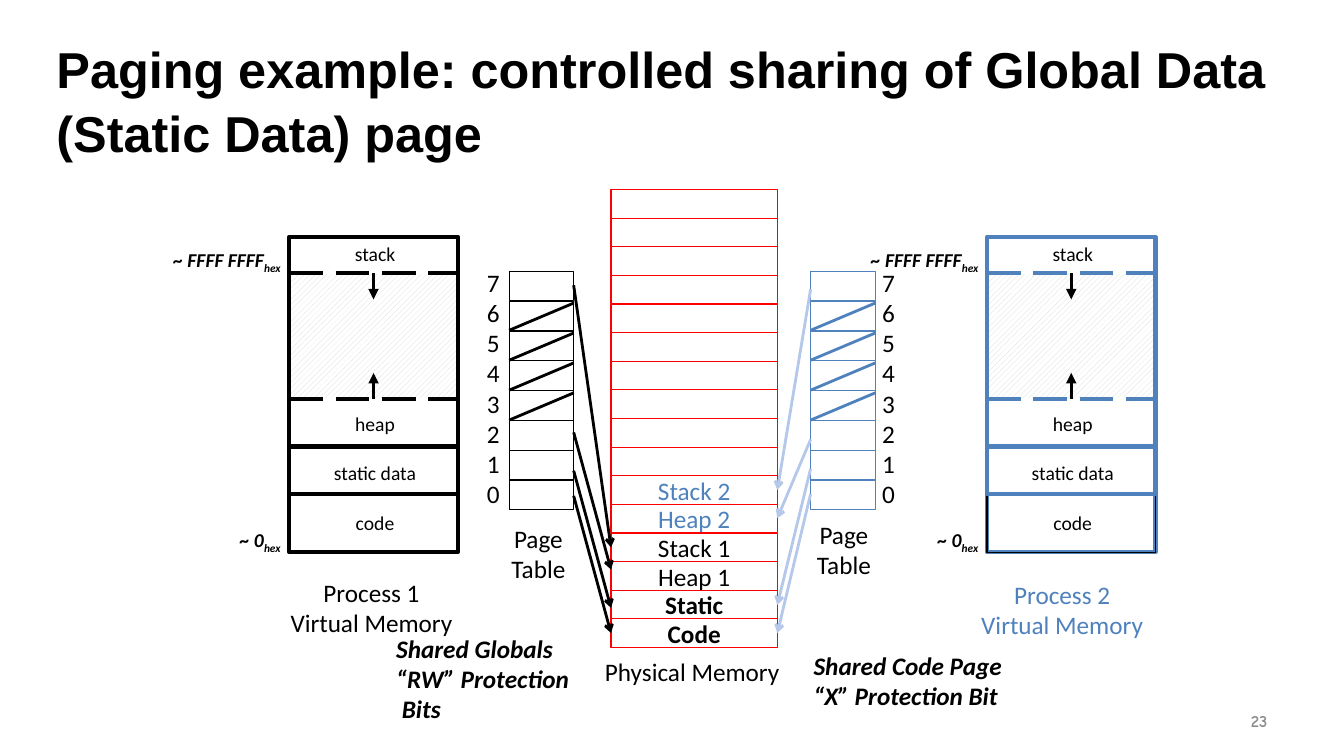
from dataclasses import dataclass

from lxml.etree import SubElement
from pptx import Presentation
from pptx.dml.color import RGBColor
from pptx.enum.dml import MSO_LINE, MSO_PATTERN
from pptx.enum.shapes import MSO_CONNECTOR, MSO_SHAPE
from pptx.enum.text import MSO_ANCHOR, MSO_AUTO_SIZE, PP_ALIGN
from pptx.oxml.ns import qn
from pptx.util import Emu, Inches, Pt


@dataclass(frozen=True)
class Theme:
    black: str = "000000"
    white: str = "FFFFFF"
    blue: str = "4F81BD"
    pale_blue: str = "B6C8E9"
    red: str = "FF0000"
    hatch: str = "D6D7D6"
    gray: str = "8C8C8C"
    body_font: str = "Calibri"
    title_font: str = "Arial"
    number_font: str = "Comic Neue"
    title_size: int = 36
    body_size: int = 18
    label_size: int = 14
    number_size: int = 12


THEME = Theme()
PX = Inches(1) // 100  # 100 px to the inch

# Content
TITLE = "Paging example: controlled sharing of Global Data (Static Data) page"
PAGE_NUMBER = "23"
PAGE_INDEXES = [7, 6, 5, 4, 3, 2, 1, 0]
UNUSED_PAGES = [6, 5, 4, 3]
EMPTY_FRAMES = 10
USED_FRAMES = [  # text, colour, shared by both processes
    ("Stack 2", THEME.blue, False),
    ("Heap 2", THEME.blue, False),
    ("Stack 1", THEME.black, False),
    ("Heap 1", THEME.black, False),
    ("Static", THEME.black, True),
    ("Code", THEME.black, True),
]
SEGMENTS = [  # text, left offset, top, width
    ("code", 51, 502, 68),
    ("static data", 20, 452, 130),
    ("heap", 50, 404, 70),
    ("stack", 50, 235, 70),
]
ADDRESSES = [("~ FFFF FFFF", -125, 241, 129), ("~ 0", -59, 519, 98)]
PROCESSES = [  # left, colour
    (287, THEME.black),
    (979, THEME.blue),
]
PAGE_TABLES = [  # left, left of the indexes, colour
    (505, 473, THEME.black),
    (804, 865, THEME.blue),
]
MAPPINGS = [  # table edge, memory edge, colour, heights of both ends
    (569, 606, THEME.black, [(492, 628), (467, 603), (429, 565), (283, 543)]),
    (804, 771, THEME.pale_blue, [(490, 628), (465, 600), (436, 514), (287, 486)]),
]
CAPTIONS = [  # lines, left, top, width, height, format
    (["Process 1", "Virtual Memory"], 277, 568, 183, 71, {}),
    (["Process 2", "Virtual Memory"], 962, 570, 183, 71, {"color": THEME.blue}),
    (["Page", "Table"], 497, 514, 74, 71, {}),
    (["Page", "Table"], 800, 510, 74, 71, {}),
    (["Physical Memory"], 589, 646, 195, 40, {}),
    (["Shared Code Page", "“X” Protection Bit"], 797, 640, 215, 71,
     {"bold": True, "italic": True, "align": PP_ALIGN.LEFT}),
    (["Shared Globals", "“RW” Protection", " Bits"], 383, 623, 199, 101,
     {"bold": True, "italic": True, "align": PP_ALIGN.LEFT}),
]

# Sizes
PROCESS_WIDTH = 167
STACK_TOP, STACK_END, HEAP_TOP = 235, 271, 396
STATIC_TOP, CODE_TOP, CODE_END = 443, 490, 548
TABLE_TOP, ROW_PITCH, ROW_HEIGHT, ROW_WIDTH = 269, 29.7, 29, 64
FRAMES_LEFT, FRAMES_TOP, FRAME_PITCH, FRAME_WIDTH = 606, 188, 28.4, 165


def px(*lengths):
    return [Emu(round(length * PX)) for length in lengths]


def write(frame, lines, *, size=THEME.body_size, font=THEME.body_font,
          color=THEME.black, bold=False, italic=False, align=PP_ALIGN.CENTER,
          anchor=MSO_ANCHOR.TOP, wrap=False, spacing=None, subscript=""):
    frame.word_wrap = wrap
    frame.auto_size = MSO_AUTO_SIZE.NONE
    frame.vertical_anchor = anchor
    for number, line in enumerate(lines):
        paragraph = frame.paragraphs[0] if number == 0 else frame.add_paragraph()
        paragraph.alignment = align
        paragraph.line_spacing = spacing
        for part in filter(None, (line, subscript)):
            run = paragraph.add_run()
            run.text = part
            run.font.size, run.font.name = Pt(size), font
            run.font.bold, run.font.italic = bold, italic
            run.font.color.rgb = RGBColor.from_string(color)
            if part == subscript:
                run.font._element.set("baseline", "-25000")


def add_text(shapes, lines, box, **style):
    write(shapes.add_textbox(*px(*box)).text_frame, lines, **style)


def add_box(shapes, box, color, width):
    shape = shapes.add_shape(MSO_SHAPE.RECTANGLE, *px(*box))
    shape.shadow.inherit = False
    shape.fill.background()
    shape.line.color.rgb = RGBColor.from_string(color)
    shape.line.width = Pt(width)
    return shape


def add_line(shapes, ends, color, width, dash=None, arrow=None):
    line = shapes.add_connector(MSO_CONNECTOR.STRAIGHT, *px(*ends))
    line.line.color.rgb = RGBColor.from_string(color)
    line.line.width = Pt(width)
    if dash:
        line.line.dash_style = dash
    properties = line._element.spPr
    if arrow:
        SubElement(properties.find(qn("a:ln")), qn("a:tailEnd"), type=arrow)
    SubElement(properties, qn("a:effectLst"))


def add_process(shapes, left, color):
    right, middle = left + PROCESS_WIDTH, left + PROCESS_WIDTH / 2
    unused = add_box(shapes, (left, STACK_END, PROCESS_WIDTH, HEAP_TOP - STACK_END),
                     THEME.white, 1)
    unused.fill.patterned()
    unused.fill.pattern = MSO_PATTERN.WIDE_UPWARD_DIAGONAL
    unused.fill.fore_color.rgb = RGBColor.from_string(THEME.hatch)
    unused.fill.back_color.rgb = RGBColor.from_string(THEME.white)
    for top, bottom, outline, width in [(STACK_TOP, CODE_END, color, 3),
                                        (CODE_TOP, CODE_END, THEME.black, 1),
                                        (STATIC_TOP, CODE_TOP, color, 3)]:
        add_box(shapes, (left, top, PROCESS_WIDTH, bottom - top), outline, width)
    for edge, growth in [(HEAP_TOP, -26), (STACK_END, 26)]:
        add_line(shapes, (left, edge, right, edge), color, 3, dash=MSO_LINE.LONG_DASH)
        add_line(shapes, (middle, edge, middle, edge + growth), THEME.black, 2.5,
                 arrow="triangle")
    for segment, offset, top, width in SEGMENTS:
        add_text(shapes, [segment], (left + offset, top, width, 34),
                 size=THEME.label_size)
    for address, offset, top, width in ADDRESSES:
        add_text(shapes, [address], (left + offset, top, width, 34),
                 size=THEME.label_size, bold=True, italic=True,
                 align=PP_ALIGN.LEFT, subscript="hex")


def add_page_table(shapes, left, index_left, color):
    for row, page in enumerate(PAGE_INDEXES):
        top = TABLE_TOP + row * ROW_PITCH
        add_box(shapes, (left, top, ROW_WIDTH, ROW_HEIGHT), color, 0.75)
        if page in UNUSED_PAGES:
            add_line(shapes, (left, top + ROW_HEIGHT, left + ROW_WIDTH, top + 2),
                     color, 2)
    add_text(shapes, [str(page) for page in PAGE_INDEXES],
             (index_left, 260, 33, 252), align=PP_ALIGN.LEFT)


def add_physical_memory(shapes):
    frames = [("", THEME.black, False)] * EMPTY_FRAMES + USED_FRAMES
    for row, (owner, color, shared) in enumerate(frames):
        top = FRAMES_TOP + row * FRAME_PITCH
        frame = add_box(shapes, (FRAMES_LEFT, top, FRAME_WIDTH, FRAME_PITCH),
                        THEME.red, 0.75)
        if owner:
            write(frame.text_frame, [owner], color=color, bold=shared,
                  anchor=MSO_ANCHOR.MIDDLE)


def main():
    deck = Presentation()
    deck.slide_width, deck.slide_height = Inches(13.33), Inches(7.5)
    slide = deck.slides.add_slide(deck.slide_layouts[5])
    shapes = slide.shapes

    # Title and page number
    title = shapes.title
    title.left, title.top, title.width, title.height = px(46, 30, 1240, 131)
    write(title.text_frame, [TITLE], size=THEME.title_size, font=THEME.title_font,
          bold=True, align=PP_ALIGN.LEFT, wrap=True, spacing=1.05)
    add_text(shapes, [PAGE_NUMBER], (956, 695, 311, 40), size=THEME.number_size,
             font=THEME.number_font, color=THEME.gray, bold=True,
             align=PP_ALIGN.RIGHT, anchor=MSO_ANCHOR.MIDDLE, wrap=True)

    # Virtual memory, page tables and physical memory
    for process in PROCESSES:
        add_process(shapes.add_group_shape().shapes, *process)
    for table in PAGE_TABLES:
        add_page_table(shapes.add_group_shape().shapes, *table)
    add_physical_memory(shapes.add_group_shape().shapes)

    # Mappings from pages to frames
    for table_edge, memory_edge, color, heights in MAPPINGS:
        for start, end in heights:
            add_line(shapes, (table_edge, start, memory_edge, end), color, 2,
                     arrow="arrow")

    # Captions
    for lines, left, top, width, height, style in CAPTIONS:
        add_text(shapes, lines, (left, top, width, height), **style)

    deck.save("out.pptx")


if __name__ == "__main__":
    main()
